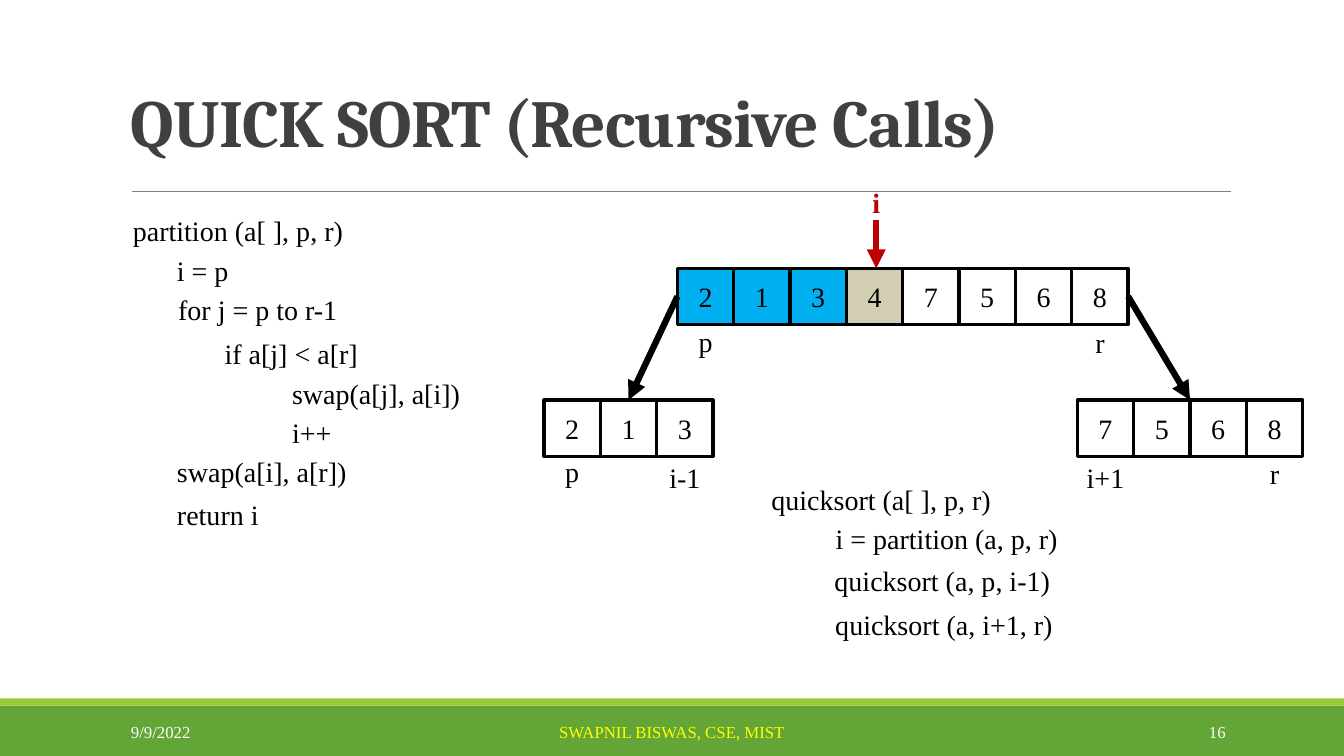
from lxml import etree
from pptx import Presentation, util as u
from pptx.dml.color import RGBColor
from pptx.enum import shapes, text
from pptx.oxml import ns

COLORS = {
    "ink": "000000", "title": "404040", "rule": "808080", "paper": "FFFFFF",
    "smaller": "00B0F0", "pivot": "D2CEB1", "marker": "C00000",
    "bar": "63A537", "strip": "99CB38", "footer": "FFFF00",
}
BODY = {"name": "Times New Roman", "size": u.Pt(20), "bold": False}
MARKER = {**BODY, "bold": True}
SMALL = {**BODY, "size": u.Pt(12)}
HEADING = {"name": "Cambria", "size": u.Pt(48), "bold": True}

LEFT, CENTER, RIGHT = text.PP_ALIGN.LEFT, text.PP_ALIGN.CENTER, text.PP_ALIGN.RIGHT
TOP, MIDDLE, BOTTOM = text.MSO_ANCHOR.TOP, text.MSO_ANCHOR.MIDDLE, text.MSO_ANCHOR.BOTTOM

CELL = 1.42
LABEL_WIDTH = 1.8
LABEL_HEIGHT = 1.11

PARTITION = [
    (0, 0, "partition (a[ ], p, r)"),
    (1.11, 4.5, "i = p"),
    (1.14, 4, "for j = p to r-1"),
    (2.31, 7, "if a[j] < a[r]"),
    (4.01, 4.5, "swap(a[j], a[i])"),
    (4.01, 4, "i++"),
    (1.11, 4, "swap(a[i], a[r])"),
    (1.11, 7, "return i"),
]
QUICKSORT = [
    (0, 0, "quicksort (a[ ], p, r)"),
    (1.62, 4, "i = partition (a, p, r)"),
    (1.59, 6, "quicksort (a, p, i-1)"),
    (1.61, 7, "quicksort (a, i+1, r)"),
]


def rgb(color):
    """Return the named colour."""
    return RGBColor.from_string(COLORS[color])


def cm(*lengths):
    """Turn numbers into centimetre lengths."""
    return [u.Cm(length) for length in lengths]


def write(paragraph, words, font, color, align=LEFT):
    """Put one formatted run into a paragraph."""
    paragraph.alignment = align
    run = paragraph.add_run()
    run.text = words
    for key, value in font.items():
        setattr(run.font, key, value)
    run.font.color.rgb = rgb(color)
    return run


def add_box(slide, box, anchor=TOP):
    """Add a wrapping text box and return its frame."""
    frame = slide.shapes.add_textbox(*cm(*box)).text_frame
    for key, value in {"word_wrap": True, "vertical_anchor": anchor}.items():
        setattr(frame, key, value)
    return frame


def add_label(slide, center, top, words, font, color):
    """Write a short label centred on a point."""
    box = (center - LABEL_WIDTH / 2, top, LABEL_WIDTH, LABEL_HEIGHT)
    write(add_box(slide, box).paragraphs[0], words, font, color, CENTER)


def add_rect(slide, box, fill, outline=None):
    """Add a flat rectangle, outlined if a colour is given."""
    rect = slide.shapes.add_shape(shapes.MSO_SHAPE.RECTANGLE, *cm(*box))
    rect.shadow.inherit = False
    rect.fill.solid()
    rect.fill.fore_color.rgb = rgb(fill)
    if outline:
        rect.line.color.rgb = rgb(outline)
        rect.line.width = u.Pt(2.25)
    else:
        rect.line.fill.background()
    return rect


def add_line(slide, start, end, color, width, arrow=False):
    """Add a straight line, with an arrowhead at its end if asked."""
    line = slide.shapes.add_connector(
        shapes.MSO_CONNECTOR.STRAIGHT, *cm(*start, *end))
    line.line.color.rgb = rgb(color)
    line.line.width = u.Pt(width)
    properties = line.line._get_or_add_ln()
    if arrow:
        etree.SubElement(properties, ns.qn("a:tailEnd"), type="triangle")
    etree.SubElement(properties.getparent(), ns.qn("a:effectLst"))


def add_header(slide, box):
    """Place the title with the rule below it."""
    left, top, width, height = box
    paragraph = add_box(slide, box, BOTTOM).paragraphs[0]
    paragraph.line_spacing = 0.85
    run = write(paragraph, "QUICK SORT (Recursive Calls)", HEADING, "title")
    run.font._element.set("spc", "-50")
    rule = top + height + 0.64
    add_line(slide, (left + 0.28, rule), (left + width + 0.02, rule), "rule", 0.5)


def add_array(slide, left, top, values, labels, fills=()):
    """Draw a row of cells with labels under its first and last cell."""
    for index, value in enumerate(values):
        fill = fills[index] if index < len(fills) else "paper"
        cell = add_rect(slide, (left + index * CELL, top, CELL, CELL), fill, "ink")
        frame = cell.text_frame
        frame.vertical_anchor = MIDDLE
        write(frame.paragraphs[0], str(value), BODY, "ink", CENTER)
    for index, (name, drop) in zip((0, len(values) - 1), labels):
        center = left + (index + 0.5) * CELL
        add_label(slide, center, top + CELL + drop, name, BODY, "ink")


def add_call_tree(slide, box):
    """Draw the partitioned array and the two arrays of the recursive calls."""
    left, top, width, height = box
    whole, smaller, larger = [2, 1, 3, 4, 7, 5, 6, 8], [2, 1, 3], [7, 5, 6, 8]
    whole_left, whole_top = left + 3.36, top + 2.21
    whole_right = whole_left + len(whole) * CELL
    child_top = top + height - CELL
    larger_left = left + width - len(larger) * CELL

    add_array(slide, whole_left, whole_top, whole, [("p", -0.13), ("r", -0.11)],
              ["smaller"] * 3 + ["pivot"])
    add_array(slide, left, child_top, smaller, [("p", -0.18), ("i-1", -0.03)])
    add_array(slide, larger_left, child_top, larger, [("i+1", -0.03), ("r", -0.13)])

    pivot = whole_left + 3.53 * CELL
    add_label(slide, pivot, top, "i", MARKER, "marker")
    add_line(slide, (pivot, top + 1), (pivot, whole_top), "marker", 4.5, True)

    middle = whole_top + CELL / 2
    for start, child_left, child in ((whole_left, left, smaller),
                                     (whole_right, larger_left, larger)):
        target = child_left + len(child) * CELL / 2
        add_line(slide, (start, middle), (target, child_top), "ink", 4.5, True)


def add_code(slide, box, lines):
    """Write pseudocode lines with their indents and spacing."""
    frame = add_box(slide, box)
    for index, (indent, gap, words) in enumerate(lines):
        paragraph = frame.add_paragraph() if index else frame.paragraphs[0]
        if indent:
            paragraph._p.get_or_add_pPr().set("marL", str(u.Cm(indent)))
        if gap:
            paragraph.space_before = u.Pt(gap)
        write(paragraph, words, BODY, "ink")


def add_footer(slide, box):
    """Draw the footer bands with date, author and slide number."""
    left, top, width, height = box
    add_rect(slide, (left, top + 0.18, width, height - 0.18), "bar")
    add_rect(slide, (left, top, width, 0.18), "strip")
    for offset, span, words, color, align in (
            (3.05, 6.86, "9/9/2022", "paper", LEFT),
            (10.24, 13.39, "SWAPNIL BISWAS, CSE, MIST", "footer", CENTER),
            (27.51, 3.63, "16", "paper", RIGHT)):
        frame = add_box(slide, (left + offset, top + 0.34, span, 1.01), MIDDLE)
        write(frame.paragraphs[0], words, SMALL, color, align)


def main():
    """Build and save the slide."""
    deck = Presentation()
    deck.slide_width, deck.slide_height = cm(33.87, 19.05)
    slide = deck.slides.add_slide(deck.slide_layouts[6])
    add_footer(slide, (0, 17.6, 33.87, 1.45))
    add_header(slide, (3.05, 0.15, 27.94, 4.04))
    add_call_tree(slide, (13.71, 4.55, 19.12, 6.95))
    add_code(slide, (3.1, 5.26, 9.2, 8.3), PARTITION)
    add_code(slide, (19.19, 12.04, 8.5, 4.3), QUICKSORT)
    deck.save("out.pptx")


if __name__ == "__main__":
    main()
